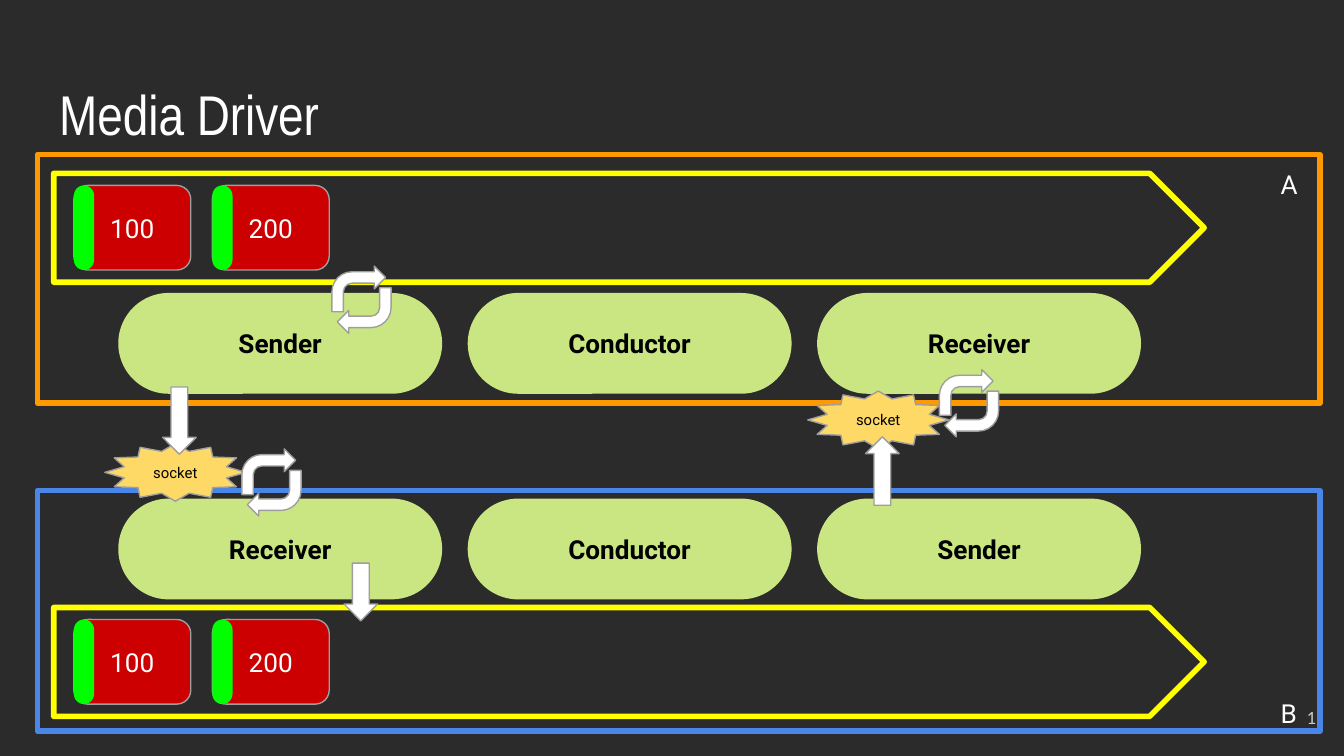
from dataclasses import dataclass

from lxml.etree import SubElement
from pptx import Presentation
from pptx.dml.color import RGBColor as Rgb
from pptx.enum.shapes import MSO_SHAPE as Kind
from pptx.enum.text import MSO_ANCHOR as Anchor, MSO_AUTO_SIZE as Fit, PP_ALIGN as Align
from pptx.oxml.ns import qn
from pptx.util import Inches, Pt

WIDE = Inches(10)
HIGH = WIDE * 9 // 16
UNIT = WIDE / 100  # side of a square grid cell, 100 columns across


@dataclass(frozen=True)
class Theme:
    back: str = "2B2B2B"
    white: str = "FFFFFF"
    black: str = "000000"
    faint: str = "CACACA"
    edge: str = "9E9E9E"
    lane: str = "FFFF00"
    card: str = "CC0000"
    tab: str = "00FF00"
    pill: str = "CAE682"
    star: str = "FFD966"
    font: str = "Roboto"
    head: str = "Arial Narrow"
    foot: str = "Calibri"
    title: int = 30
    body: int = 14
    page: int = 10
    small: int = 8
    thick: float = 3
    thin: float = 0.75


LOOK = Theme()


@dataclass(frozen=True)
class Box:
    """Left and width in grid columns, top and height in grid rows."""
    left: float
    top: float
    wide: float
    high: float

    def place(self) -> tuple[int, ...]:
        return tuple(round(n * UNIT) for n in (self.left, self.top, self.wide, self.high))


@dataclass(frozen=True)
class Host:
    name: str
    color: str
    frame: Box
    label: Box
    lane: float
    pills: float
    roles: tuple[str, ...]


HOSTS = (
    Host("A", "FF9900", Box(2.8, 11.5, 95.4, 18.5), Box(94.3, 11.5, 3.9, 4.3),
         12.9, 21.8, ("Sender", "Conductor", "Receiver")),
    Host("B", "4A86E8", Box(2.8, 36.5, 95.4, 17.9), Box(94.3, 50.9, 3.9, 3.1),
         45.2, 37.1, ("Receiver", "Conductor", "Sender")),
)
CARDS = ("100", "200")
STARS = (Box(7.8, 33, 10.5, 4.3), Box(60.1, 29.1, 10.5, 4.3))
LOOPS = ((24.7, 19.8), (18, 33.4), (69.9, 27.5))
ARROWS = ((Box(12.1, 28.8, 2.5, 5), 0), (Box(25.6, 41.9, 2.5, 4.3), 0),
          (Box(64.4, 32.5, 2.5, 5.1), 180))


def write(shape, text: str, *, size: float = LOOK.body, font: str = LOOK.font,
          color: str = LOOK.white, bold: bool = False,
          align=Align.LEFT, anchor=Anchor.TOP) -> None:
    frame = shape.text_frame
    frame.word_wrap, frame.auto_size = True, Fit.NONE
    frame.vertical_anchor = anchor
    frame.margin_left = frame.margin_right = Inches(0.1)
    frame.margin_top = frame.margin_bottom = Inches(0.1)
    line = frame.paragraphs[0]
    line.alignment = align
    run = line.add_run()
    run.text = text
    run.font.size, run.font.name, run.font.bold = Pt(size), font, bold
    run.font.color.rgb = Rgb.from_string(color)


def draw(slide, kind: Kind, box: Box, *, fill: str = "", line: str = "",
         weight: float = LOOK.thin, turn: float = 0, bend: float | None = None):
    shape = slide.shapes.add_shape(kind, *box.place())
    shape.shadow.inherit = False
    shape.rotation = turn
    if bend is not None:
        shape.adjustments[0] = bend
    if fill:
        shape.fill.solid()
        shape.fill.fore_color.rgb = Rgb.from_string(fill)
    else:
        shape.fill.background()
    if line:
        shape.line.color.rgb = Rgb.from_string(line)
        shape.line.width = Pt(weight)
        SubElement(shape.line._get_or_add_ln(), qn("a:round"))
    else:
        shape.line.fill.background()
    return shape


def label(slide, box: Box, text: str, **style) -> None:
    write(slide.shapes.add_textbox(*box.place()), text, **style)


def card(slide, left: float, top: float, text: str) -> None:
    """Red message with a green header along its left side."""
    body = draw(slide, Kind.ROUNDED_RECTANGLE, Box(left, top, 8.7, 6.3),
                fill=LOOK.card, line=LOOK.edge)
    write(body, text, align=Align.CENTER, anchor=Anchor.MIDDLE)
    draw(slide, Kind.ROUNDED_RECTANGLE, Box(left, top, 1.5, 6.3),
         fill=LOOK.tab, bend=0.5)


def host(slide, item: Host) -> None:
    draw(slide, Kind.FLOWCHART_PROCESS, item.frame, line=item.color, weight=LOOK.thick)
    label(slide, item.label, item.name)
    draw(slide, Kind.PENTAGON, Box(4, item.lane, 85.6, 8.1),
         line=LOOK.lane, weight=LOOK.thick)
    for i, text in enumerate(CARDS):
        card(slide, 5.5 + 10.3 * i, item.lane + 0.9, text)
    for i, role in enumerate(item.roles):
        pill = draw(slide, Kind.ROUNDED_RECTANGLE,
                    Box(8.8 + 26 * i, item.pills, 24.1, 7.5), fill=LOOK.pill, bend=0.5)
        write(pill, role, color=LOOK.black, bold=True,
              align=Align.CENTER, anchor=Anchor.MIDDLE)


def loop(slide, left: float, top: float) -> None:
    """Two bent arrows chasing each other."""
    for shift, drop, turn in ((0, 0, 0), (0.4, 1.6, 180)):
        draw(slide, Kind.BENT_ARROW, Box(left + shift, top + drop, 4, 3.4),
             fill=LOOK.white, line=LOOK.edge, turn=turn)


def main() -> None:
    deck = Presentation()
    deck.slide_width, deck.slide_height = WIDE, HIGH
    slide = deck.slides.add_slide(deck.slide_layouts[5])
    slide.background.fill.solid()
    slide.background.fill.fore_color.rgb = Rgb.from_string(LOOK.back)

    title = slide.shapes.title
    title.left, title.top, title.width, title.height = Box(3.4, 4.9, 93.2, 6.3).place()
    write(title, "Media Driver", size=LOOK.title, font=LOOK.head)

    for item in HOSTS:
        host(slide, item)
    for box in STARS:
        star = draw(slide, Kind.STAR_12_POINT, box, fill=LOOK.star, line=LOOK.edge)
        write(star, "socket", size=LOOK.small, color=LOOK.black,
              align=Align.CENTER, anchor=Anchor.MIDDLE)
    for left, top in LOOPS:
        loop(slide, left, top)
    for box, turn in ARROWS:
        draw(slide, Kind.DOWN_ARROW, box, fill=LOOK.white, line=LOOK.edge, turn=turn)
    label(slide, Box(92.9, 51.2, 6, 4.3), "1", size=LOOK.page, font=LOOK.foot,
          color=LOOK.faint, align=Align.RIGHT, anchor=Anchor.MIDDLE)
    deck.save("out.pptx")


if __name__ == "__main__":
    main()
